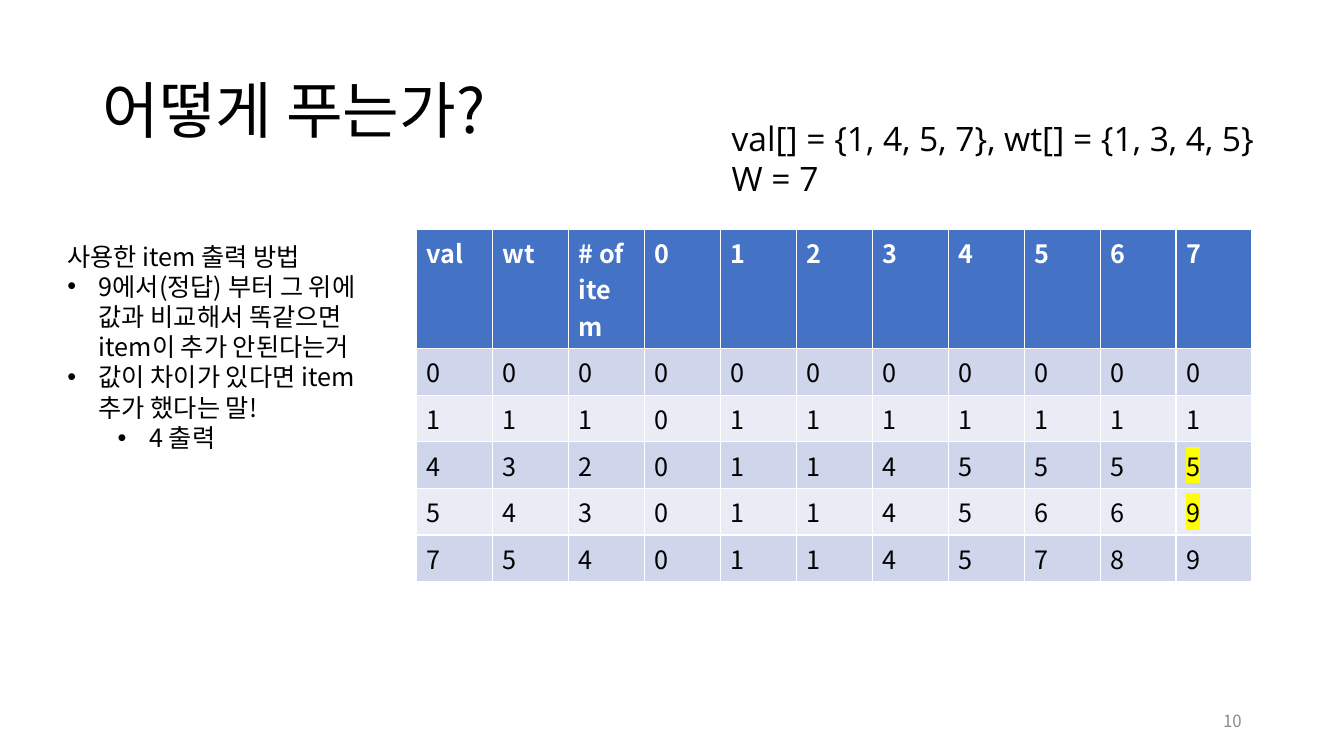
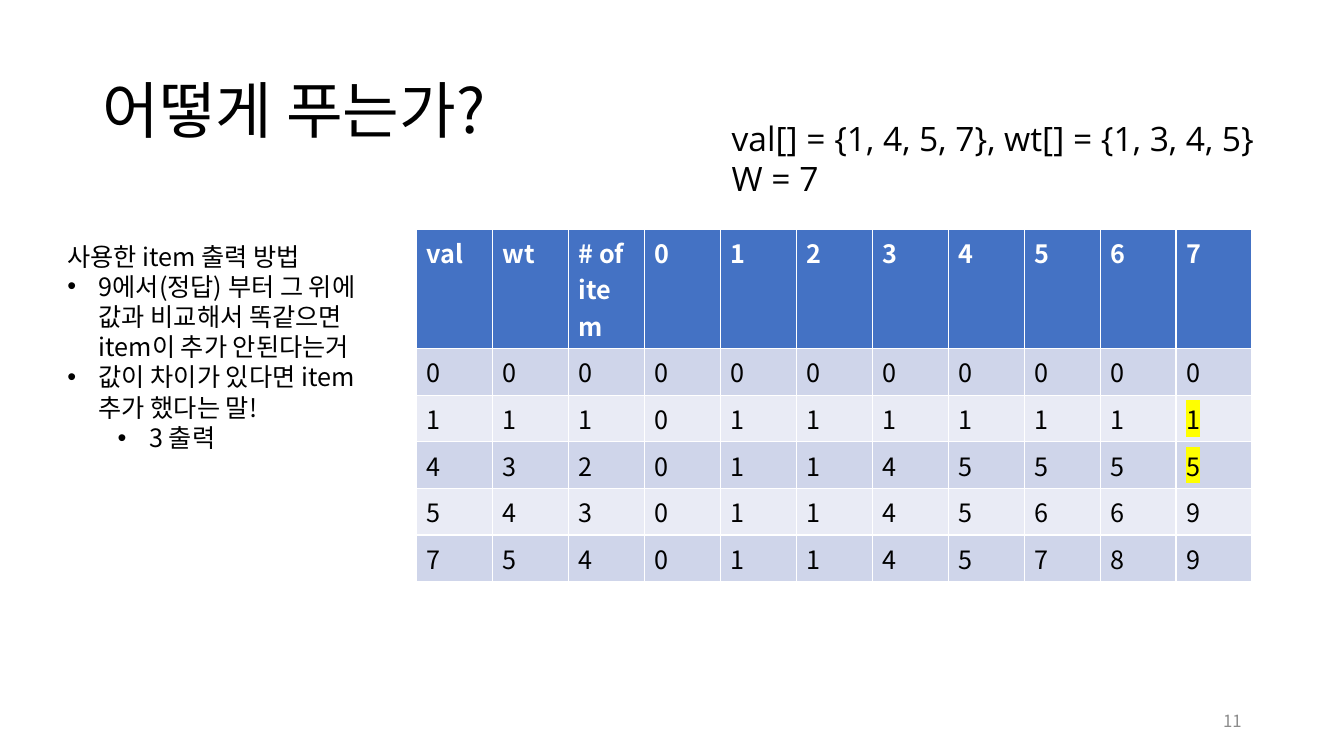
from pptx import Presentation
from pptx.dml.color import RGBColor as RGB
from pptx.enum.text import MSO_ANCHOR as Anchor, PP_ALIGN as Align
from pptx.oxml.ns import qn
from pptx.util import Pt
from lxml.etree import SubElement as Sub

HUES = {"ink": "000000", "head": "4472C4", "white": "FFFFFF", "odd": "CFD5EA",
        "even": "E9EBF5", "mark": "FFFF00", "page": "8C8C8C"}
SANS = "Noto Sans CJK KR"

HEAD = ["val", "wt", "# of item", *range(8)]
ROWS = [
    [0, 0, 0, 0, 0, 0, 0, 0, 0, 0, 0],
    [1, 1, 1, 0, 1, 1, 1, 1, 1, 1, 1],
    [4, 3, 2, 0, 1, 1, 4, 5, 5, 5, 5],
    [5, 4, 3, 0, 1, 1, 4, 5, 6, 6, 9],
    [7, 5, 4, 0, 1, 1, 4, 5, 7, 8, 9],
]
# Page number, item printed, table rows marked in the last column
STEPS = [(10, 4, (3, 4)), (11, 3, (2, 3))]


def style(para, size, hue="ink", name=SANS, bold=False):
    font = para.font
    font.size, font.name, font.bold = Pt(size), name, bold
    font.color.rgb = RGB.from_string(HUES[hue])
    Sub(font._element, qn("a:ea"), typeface=name)


def add_text(slide, left, top, width, height, text):
    frame = slide.shapes.add_textbox(Pt(left), Pt(top), Pt(width), Pt(height)).text_frame
    frame.word_wrap = True
    frame.text = text
    return frame


prs = Presentation()
prs.slide_width, prs.slide_height = Pt(960), Pt(540)

for page, item, marks in STEPS:
    slide = prs.slides.add_slide(prs.slide_layouts[5])

    # Title
    title = slide.shapes.title
    title.left, title.top, title.width, title.height = Pt(66), Pt(28.8), Pt(828), Pt(104.4)
    title.text_frame.text = "어떻게 푸는가?"
    title.text_frame.vertical_anchor = Anchor.MIDDLE
    para = title.text_frame.paragraphs[0]
    para.alignment, para.line_spacing = Align.LEFT, 0.9
    style(para, 44)

    # Table of best values
    grid = slide.shapes.add_table(len(ROWS) + 1, len(HEAD), Pt(297.5), Pt(163.6),
                                  Pt(596.9), Pt(236)).table
    for col in grid.columns:
        col.width = Pt(54.26)
    for r, vals in enumerate([HEAD, *ROWS]):
        grid.rows[r].height = Pt(32.5 if r else 73.5)
        fill = "head" if r == 0 else "odd" if r % 2 else "even"
        for c, val in enumerate(vals):
            cell = grid.cell(r, c)
            cell.text = str(val)
            cell.fill.solid()
            cell.fill.fore_color.rgb = RGB.from_string(HUES[fill])
            para = cell.text_frame.paragraphs[0]
            style(para, 18, "ink" if r else "white", bold=r == 0)
            if r in marks and c == len(HEAD) - 1:
                props = para.runs[0].font._element
                Sub(Sub(props, qn("a:highlight")), qn("a:srgbClr"), val=HUES["mark"])

    # Page number
    foot = add_text(slide, 678, 500.5, 216, 28.8, str(page))
    foot.vertical_anchor = Anchor.MIDDLE
    foot.paragraphs[0].alignment = Align.RIGHT
    style(foot.paragraphs[0], 12, "page")

    # Input values
    given = add_text(slide, 515.5, 80.6, 480, 65.5,
                     "val[] = {1, 4, 5, 7}, wt[] = {1, 3, 4, 5}\vW = 7")
    style(given.paragraphs[0], 24, name="Open Sans")

    # Notes on the method: text and left indent, none for the plain line
    notes = [("사용한 item 출력 방법", 0),
             ("9에서(정답) 부터 그 위에 값과 비교해서 똑같으면 item이 추가 안된다는거", 22.5),
             ("값이 차이가 있다면 item 추가 했다는 말!", 22.5),
             (f"{item} 출력", 58.5)]
    frame = add_text(slide, 41, 168.5, 234.7, 225.4, "\n".join(text for text, _ in notes))
    for para, (_, left) in zip(frame.paragraphs, notes):
        para.line_spacing = Pt(21.6)
        if left:
            para.level = int(left > 22.5)
            props = para._p.get_or_add_pPr()
            props.set("marL", str(Pt(left)))
            props.set("indent", str(-Pt(22.5)))
            Sub(props, qn("a:buFont"), typeface="Arial")
            Sub(props, qn("a:buChar"), char="•")
        style(para, 18)

prs.save("out.pptx")
